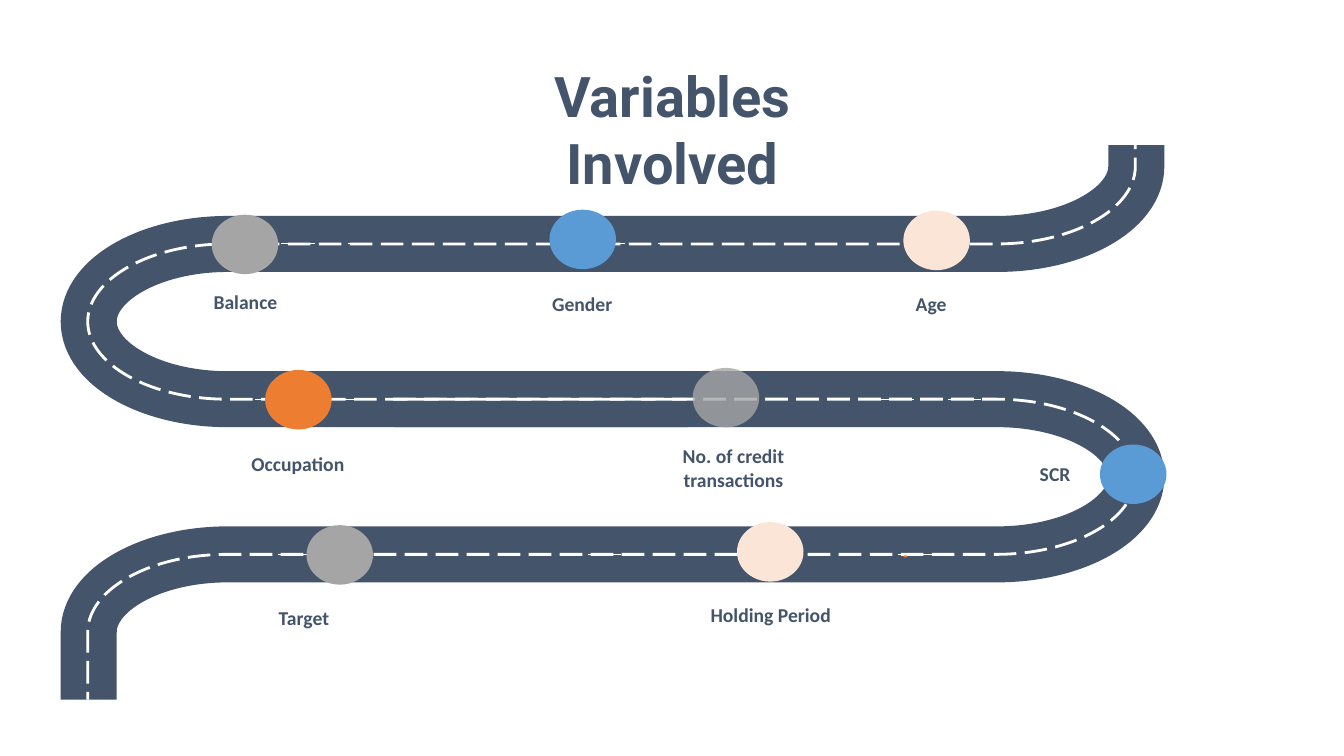
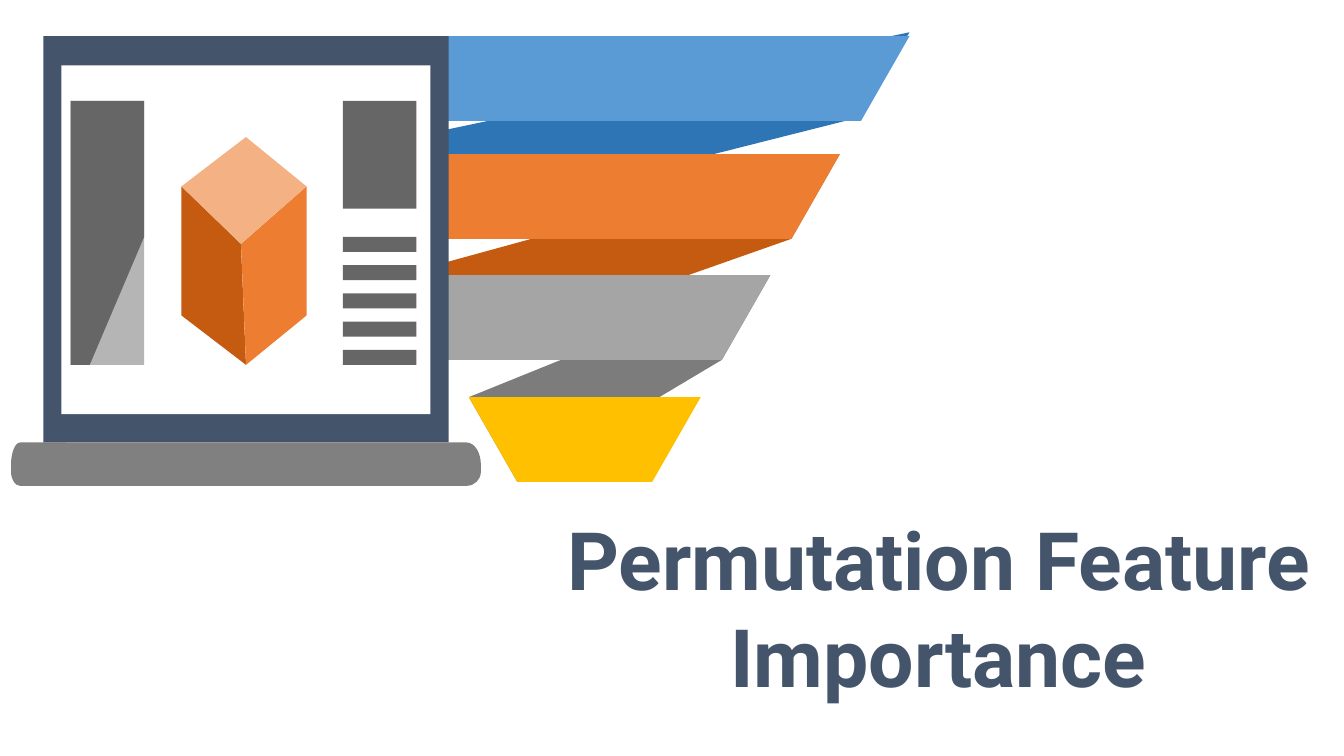
import dataclasses

import lxml.etree
import pptx
import pptx.dml.color
import pptx.enum.dml
import pptx.enum.shapes
import pptx.enum.text
import pptx.oxml.ns
import pptx.util

RGB = pptx.dml.color.RGBColor
SHAPE = pptx.enum.shapes.MSO_SHAPE
qn = pptx.oxml.ns.qn

PX = 9144  # EMU in one px, 100 px to the inch
TITLE_ONLY = 5
ROUNDNESS = 0.55  # Bézier handle length of a quarter ellipse

SLATE = RGB(0x44, 0x54, 0x6A)
WHITE = RGB(0xFF, 0xFF, 0xFF)
BLUE = RGB(0x5B, 0x9B, 0xD5)
DARK_BLUE = RGB(0x2E, 0x75, 0xB6)
ORANGE = RGB(0xED, 0x7D, 0x31)
DARK_ORANGE = RGB(0xC5, 0x5A, 0x11)
LIGHT_ORANGE = RGB(0xF4, 0xB1, 0x83)
PEACH = RGB(0xFB, 0xE5, 0xD6)
YELLOW = RGB(0xFF, 0xC0, 0x00)
GRAY = RGB(0xA5, 0xA5, 0xA5)
DARK_GRAY = RGB(0x7C, 0x7C, 0x7C)
BASE_GRAY = RGB(0x80, 0x80, 0x80)
HINGE_GRAY = RGB(0x77, 0x77, 0x77)
PANEL_GRAY = RGB(0x66, 0x66, 0x66)
SHEEN_GRAY = RGB(0xB5, 0xB5, 0xB5)

# name, fill, opacity in percent, stop position, label position
VARIABLES = [
    ("Balance", GRAY, 100, (122, 69), (62, 139)),
    ("Gender", BLUE, 100, (457, 64), (396, 141)),
    ("Age", PEACH, 100, (808, 65), (742, 141)),
    ("Occupation", ORANGE, 100, (175, 223), (114, 299)),
    ("No. of credit transactions", GRAY, 80, (599, 221), (546, 292)),
    ("SCR", BLUE, 100, (1003, 297), (865, 309)),
    ("Holding Period", PEACH, 100, (643, 374), (583, 449)),
    ("Target", GRAY, 100, (216, 377), (120, 452)),
]

# lane, left end, occupied slots of each run of fine lane marks
LANE_MARKS = [
    (0, 169, range(5)), (0, 477, range(5)), (0, 784, (0, 4)),
    (1, 165, range(5)), (1, 473, range(5)), (1, 479, range(5)),
    (1, 786, range(5)),
    (2, 166, range(5)), (2, 473, (0, 1, 2, 4)), (2, 781, (0, 1, 2, 4)),
]


@dataclasses.dataclass
class Region:
    """Part of a slide; everything drawn in it is placed from its top left."""
    slide: pptx.slide.Slide
    left: int
    top: int

    def emu(self, x, y):
        return round((self.left + x) * PX), round((self.top + y) * PX)

    def outline(self, steps, closed):
        """Steps are (x, y) for a line or (corner x, corner y, x, y) for a
        quarter ellipse that bends around that corner."""
        vertices, bends = [], []
        for *corner, x, y in steps:
            if corner:
                bends.append(len(vertices))
                for end_x, end_y in (vertices[-1], (x, y)):
                    vertices.append(
                        (end_x + ROUNDNESS * (corner[0] - end_x),
                         end_y + ROUNDNESS * (corner[1] - end_y)))
            vertices.append((x, y))

        spots = [self.emu(x, y) for x, y in vertices]
        builder = self.slide.shapes.build_freeform(*spots[0], scale=1.0)
        builder.add_line_segments(spots[1:], close=closed)
        shape = builder.convert_to_shape()
        shape.shadow.inherit = False
        segments = list(shape._element.iter(qn("a:moveTo"), qn("a:lnTo")))
        for first in bends:
            curve = lxml.etree.Element(qn("a:cubicBezTo"))
            segments[first].addprevious(curve)
            for segment in segments[first:first + 3]:
                curve.append(segment[0])
                segment.getparent().remove(segment)
        return shape

    def polygon(self, steps, color):
        paint(self.outline(steps, True), color)

    def stroke(self, steps, color, width):
        shape = self.outline(steps, False)
        shape.fill.background()
        shape.line.color.rgb = color
        shape.line.width = pptx.util.Pt(width)
        return shape

    def preset(self, kind, x, y, width, height, color):
        shape = self.slide.shapes.add_shape(
            kind, *self.emu(x, y), width * PX, height * PX)
        shape.shadow.inherit = False
        paint(shape, color)
        return shape

    def mark(self, x, y, length):
        connector = self.slide.shapes.add_connector(
            pptx.enum.shapes.MSO_CONNECTOR.STRAIGHT,
            *self.emu(x, y), *self.emu(x + length, y))
        connector.line.color.rgb = WHITE
        connector.line.width = pptx.util.Pt(0.75)
        lxml.etree.SubElement(connector._element.spPr, qn("a:effectLst"))

    def label(self, text, x, y):
        box = self.slide.shapes.add_textbox(*self.emu(x, y), 187 * PX, 34 * PX)
        write(box.text_frame, text, "Calibri", 14)


def paint(shape, color):
    shape.fill.solid()
    shape.fill.fore_color.rgb = color
    shape.line.fill.background()


def set_opacity(shape, percent):
    color = shape._element.spPr.find(".//" + qn("a:srgbClr"))
    alpha = lxml.etree.SubElement(color, qn("a:alpha"))
    alpha.set("val", str(percent * 1000))


def write(frame, text, font_name, size):
    frame.word_wrap = True
    frame.auto_size = pptx.enum.text.MSO_AUTO_SIZE.NONE
    frame.vertical_anchor = pptx.enum.text.MSO_ANCHOR.TOP
    frame.text = text
    paragraph = frame.paragraphs[0]
    paragraph.alignment = pptx.enum.text.PP_ALIGN.CENTER
    paragraph.font.name = font_name
    paragraph.font.size = pptx.util.Pt(size)
    paragraph.font.bold = True
    paragraph.font.color.rgb = SLATE


def add_titled_slide(deck, title, left, top, width, height, size):
    slide = deck.slides.add_slide(deck.slide_layouts[TITLE_ONLY])
    holder = slide.shapes.title
    holder.left, holder.top = left * PX, top * PX
    holder.width, holder.height = width * PX, height * PX
    write(holder.text_frame, title, "Roboto", size)
    return slide


def draw_road(slide, left, top):
    road = Region(slide, left, top)
    center_line = Region(slide, left - 1, top)
    width, height, bend_x, bend_y = 1039, 550, 138, 77
    lanes = [98 + 2 * bend_y * i for i in range(3)]
    right_x = width - bend_x
    upper_turn, lower_turn = lanes[0] + bend_y, lanes[1] + bend_y

    upper = [(594, lanes[1]), (bend_x, lanes[1]),
             (0, lanes[1], 0, upper_turn),
             (0, lanes[0], bend_x, lanes[0]),
             (right_x, lanes[0]),
             (width, lanes[0], width, lanes[0] - bend_y),
             (width, 0)]
    lower = [(303, lanes[1]), (right_x, lanes[1]),
             (width, lanes[1], width, lower_turn),
             (width, lanes[2], right_x, lanes[2]),
             (bend_x, lanes[2]),
             (0, lanes[2], 0, lanes[2] + bend_y),
             (0, height)]
    for half in (upper, lower):
        road.stroke(half, SLATE, 40)
    for half in (upper, lower):
        dashes = center_line.stroke(half, WHITE, 2)
        dashes.line.dash_style = pptx.enum.dml.MSO_LINE.LONG_DASH

    for lane, start, slots in LANE_MARKS:
        for slot in slots:
            road.mark(start + 22 * slot, lanes[lane], 11)
    for x, y, speck_width, color in [(844, 97, 7, BLUE), (503, 100, 4, ORANGE),
                                     (808, 407, 4, ORANGE)]:
        road.preset(SHAPE.OVAL, x, y, speck_width, 2, color)

    for name, color, opacity, stop_at, label_at in VARIABLES:
        road.label(name, *label_at)
        stop = road.preset(SHAPE.OVAL, *stop_at, 66, 59, color)
        if opacity < 100:
            set_opacity(stop, opacity)


def draw_funnel(slide, left, top):
    funnel = Region(slide, left, top)
    width, band_height, slant, step = 644, 84, 48, 69
    tops = [4, 121, 241, 362]
    fold_tops = [0, 121, 241]

    def left_edge(i):
        return step * i

    def right_edge(i):
        return width - step * i

    for i, color in enumerate([DARK_BLUE, DARK_ORANGE, DARK_GRAY]):
        funnel.polygon([
            (right_edge(i), fold_tops[i]),
            (left_edge(i + 1), tops[i + 1]),
            (left_edge(i + 1) + slant, tops[i + 1] + band_height),
            (right_edge(i) - slant, fold_tops[i] + band_height)], color)
    for i, color in enumerate([BLUE, ORANGE, GRAY, YELLOW]):
        bottom = tops[i] + band_height
        funnel.polygon([
            (left_edge(i), tops[i]), (right_edge(i), tops[i]),
            (right_edge(i) - slant, bottom),
            (left_edge(i) + slant, bottom)], color)


def draw_laptop(slide, left, top):
    laptop = Region(slide, left, top)
    laptop.preset(SHAPE.RECTANGLE, 32, 0, 402, 403, SLATE)
    laptop.preset(SHAPE.RECTANGLE, 50, 29, 366, 346, WHITE)
    laptop.polygon([(0, 425), (0, 403, 9, 403),
                    (452, 403), (466, 403, 466, 425),
                    (466, 432), (466, 446, 452, 446),
                    (9, 446), (0, 446, 0, 432)], BASE_GRAY)
    laptop.preset(SHAPE.RECTANGLE, 32, 403, 23, 1, HINGE_GRAY)

    laptop.polygon([(169, 149), (169, 277), (233, 326), (228, 206)],
                   DARK_ORANGE)
    laptop.polygon([(228, 206), (233, 326), (293, 277), (293, 149)], ORANGE)
    laptop.polygon([(169, 149), (228, 206), (293, 149), (233, 100)],
                   LIGHT_ORANGE)

    laptop.preset(SHAPE.RECTANGLE, 59, 64, 73, 262, SHEEN_GRAY)
    laptop.polygon([(59, 64), (132, 64), (132, 199), (78, 326), (59, 326)],
                   PANEL_GRAY)
    laptop.preset(SHAPE.RECTANGLE, 329, 64, 73, 107, PANEL_GRAY)
    for i in range(5):
        laptop.preset(SHAPE.RECTANGLE, 329, 199 + 28 * i, 73, 15, PANEL_GRAY)


def main():
    deck = pptx.Presentation()
    deck.slide_width, deck.slide_height = 1333 * PX, 750 * PX

    variables = add_titled_slide(
        deck, "Variables Involved", 444, 56, 446, 140, 40)
    draw_road(variables, 88, 144)

    importance = add_titled_slide(
        deck, "Permutation Feature Importance", 537, 501, 788, 204, 57.5)
    draw_funnel(importance, 258, 32)
    draw_laptop(importance, 11, 36)

    deck.save("out.pptx")


if __name__ == "__main__":
    main()
